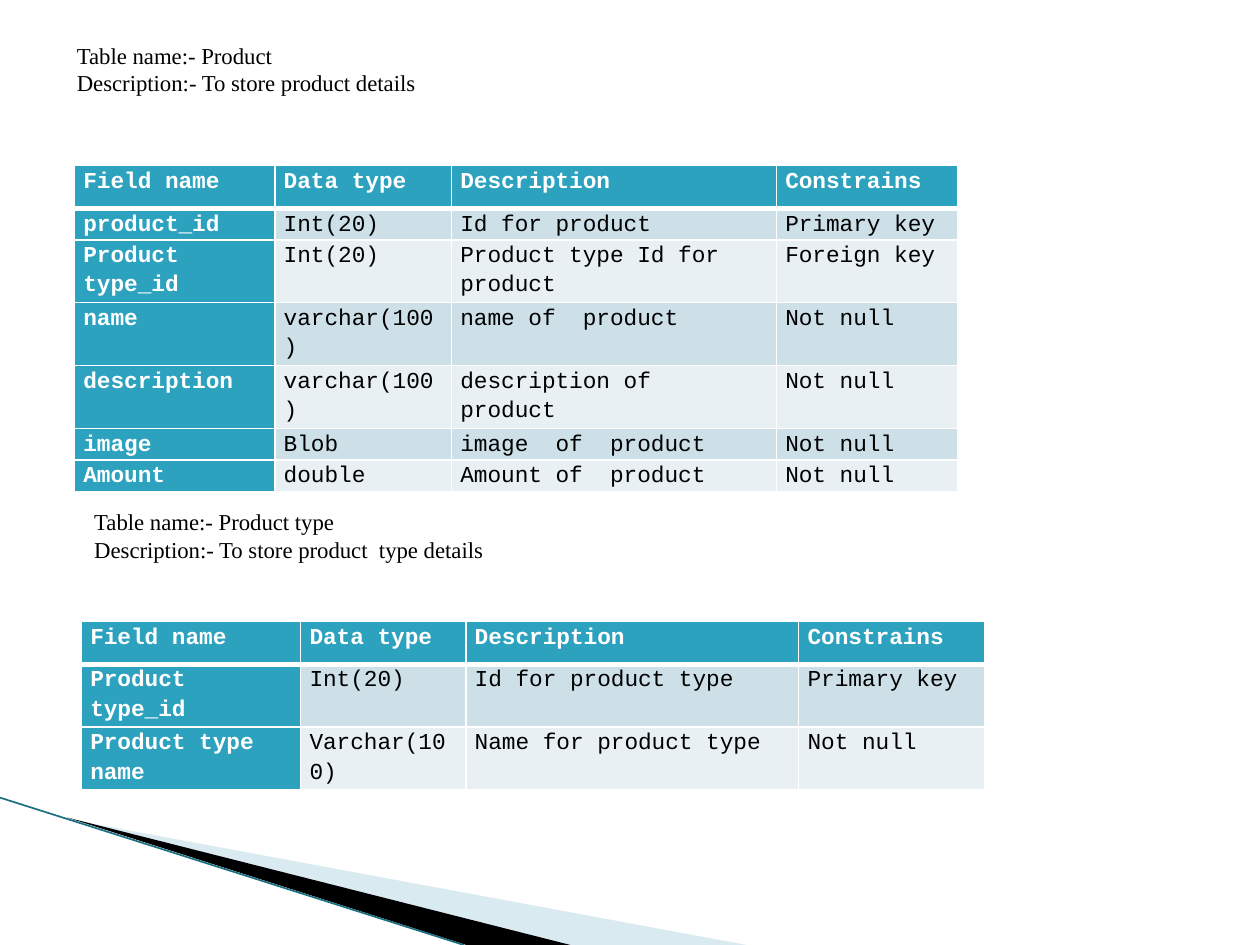
from lxml import etree
from pptx import Presentation
from pptx.dml.color import RGBColor
from pptx.enum.shapes import MSO_CONNECTOR
from pptx.oxml.ns import qn
from pptx.util import Cm, Pt

STRAIGHT = MSO_CONNECTOR.STRAIGHT

HEADINGS = ["Field name", "Data type", "Description", "Constrains"]
SECTIONS = [
    {
        "caption": ["Table name:- Product", "Description:- To store product details"],
        "caption_at": (1.3, 0.84),
        "table_at": (1.5, 3.34),
        "columns": [4.04, 3.56, 6.55, 3.66],
        "row_height": 0.59,
        "fields": [
            ["product_id", "Int(20)", "Id for product", "Primary key"],
            ["Product type_id", "Int(20)", "Product type Id for product", "Foreign key"],
            ["name", "varchar(100)", "name of  product", "Not null"],
            ["description", "varchar(100)", "description of  product", "Not null"],
            ["image", "Blob", "image  of  product", "Not null"],
            ["Amount", "double", "Amount of  product", "Not null"],
        ],
    },
    {
        "caption": ["Table name:- Product type", "Description:- To store product  type details"],
        "caption_at": (1.65, 10.24),
        "table_at": (1.64, 12.53),
        "columns": [4.42, 3.33, 6.71, 3.76],
        "row_height": 1.26,
        "fields": [
            ["Product type_id", "Int(20)", "Id for product type", "Primary key"],
            ["Product type name", "Varchar(100)", "Name for product type", "Not null"],
        ],
    },
]
WEDGES = [
    ([(1.4, 16.52), (15.05, 19.05), (11.5, 19.05)], "A0CBDC", 40),
    ([(1.35, 16.48), (11.5, 19.05), (9.4, 19.05)], "000000", 100),
]
EDGE = [(0, 16.08), (9.35, 19.05)]
HEADER_HEIGHT = 0.86
ACCENT, WHITE, BLACK = "2DA2BF", "FFFFFF", "000000"
BANDS = ["CDE0E8", "E8F0F4"]


def color(value):
    return RGBColor.from_string(value)


def style_text(paragraph, font_name, ink, bold=False):
    font = paragraph.font
    font.name, font.size, font.bold = font_name, Pt(13), bold
    font.color.rgb = color(ink)


def add_border(cell, side, points):
    line = etree.SubElement(cell._tc.get_or_add_tcPr(), qn(f"a:ln{side}"), w=str(Pt(points)))
    fill = etree.SubElement(line, qn("a:solidFill"))
    etree.SubElement(fill, qn("a:srgbClr"), val=WHITE)


def add_wedge(slide, corners, fill, opacity):
    points = [(Cm(x), Cm(y)) for x, y in corners]
    builder = slide.shapes.build_freeform(*points[0])
    builder.add_line_segments(points[1:])
    wedge = builder.convert_to_shape()
    wedge.shadow.inherit = False
    wedge.fill.solid()
    wedge.fill.fore_color.rgb = color(fill)
    wedge.line.fill.background()
    if opacity < 100:
        tint = wedge._element.spPr.find(qn("a:solidFill"))[0]
        etree.SubElement(tint, qn("a:alpha"), val=str(opacity * 1000))


def add_caption(slide, lines, left, top):
    caption = slide.shapes.add_textbox(Cm(left), Cm(top), Cm(22), Cm(1.12)).text_frame
    caption.word_wrap = True
    caption.margin_top = caption.margin_bottom = 0
    caption.text = "\n".join(lines)
    for paragraph in caption.paragraphs:
        style_text(paragraph, "Times New Roman", BLACK)


def fill_cell(cell, text, row, column):
    accented = row == 0 or column == 0
    cell.margin_left = cell.margin_right = Cm(0.18)
    cell.margin_top = cell.margin_bottom = 0
    cell.text = text
    paragraph = cell.text_frame.paragraphs[0]
    paragraph.line_spacing = 1.15
    style_text(paragraph, "Courier New", WHITE if accented else BLACK, accented)
    add_border(cell, "L", 1)
    add_border(cell, "R", 1)
    add_border(cell, "T", 3 if row == 1 else 1)
    add_border(cell, "B", 3 if row == 0 else 1)
    cell.fill.solid()
    cell.fill.fore_color.rgb = color(ACCENT if accented else BANDS[(row - 1) % 2])


def add_field_table(slide, section):
    rows = [HEADINGS] + section["fields"]
    heights = [HEADER_HEIGHT] + [section["row_height"]] * len(section["fields"])
    widths = section["columns"]
    left, top = section["table_at"]
    table = slide.shapes.add_table(
        len(rows), len(widths), Cm(left), Cm(top), Cm(sum(widths)), Cm(sum(heights))
    ).table
    for column, width in zip(table.columns, widths):
        column.width = Cm(width)
    for r, (texts, height) in enumerate(zip(rows, heights)):
        table.rows[r].height = Cm(height)
        for c, text in enumerate(texts):
            fill_cell(table.cell(r, c), text, r, c)


def main():
    deck = Presentation()
    deck.slide_width, deck.slide_height = Cm(25.4), Cm(19.05)
    slide = deck.slides.add_slide(deck.slide_layouts[6])

    for corners, fill, opacity in WEDGES:
        add_wedge(slide, corners, fill, opacity)
    edge = slide.shapes.add_connector(STRAIGHT, *[Cm(v) for point in EDGE for v in point])
    edge.line.color.rgb = color("1B6F83")
    edge.line.width = Pt(0.95)
    etree.SubElement(edge._element.spPr, qn("a:effectLst"))

    for section in SECTIONS:
        add_caption(slide, section["caption"], *section["caption_at"])
        add_field_table(slide, section)

    deck.save("out.pptx")


if __name__ == "__main__":
    main()
